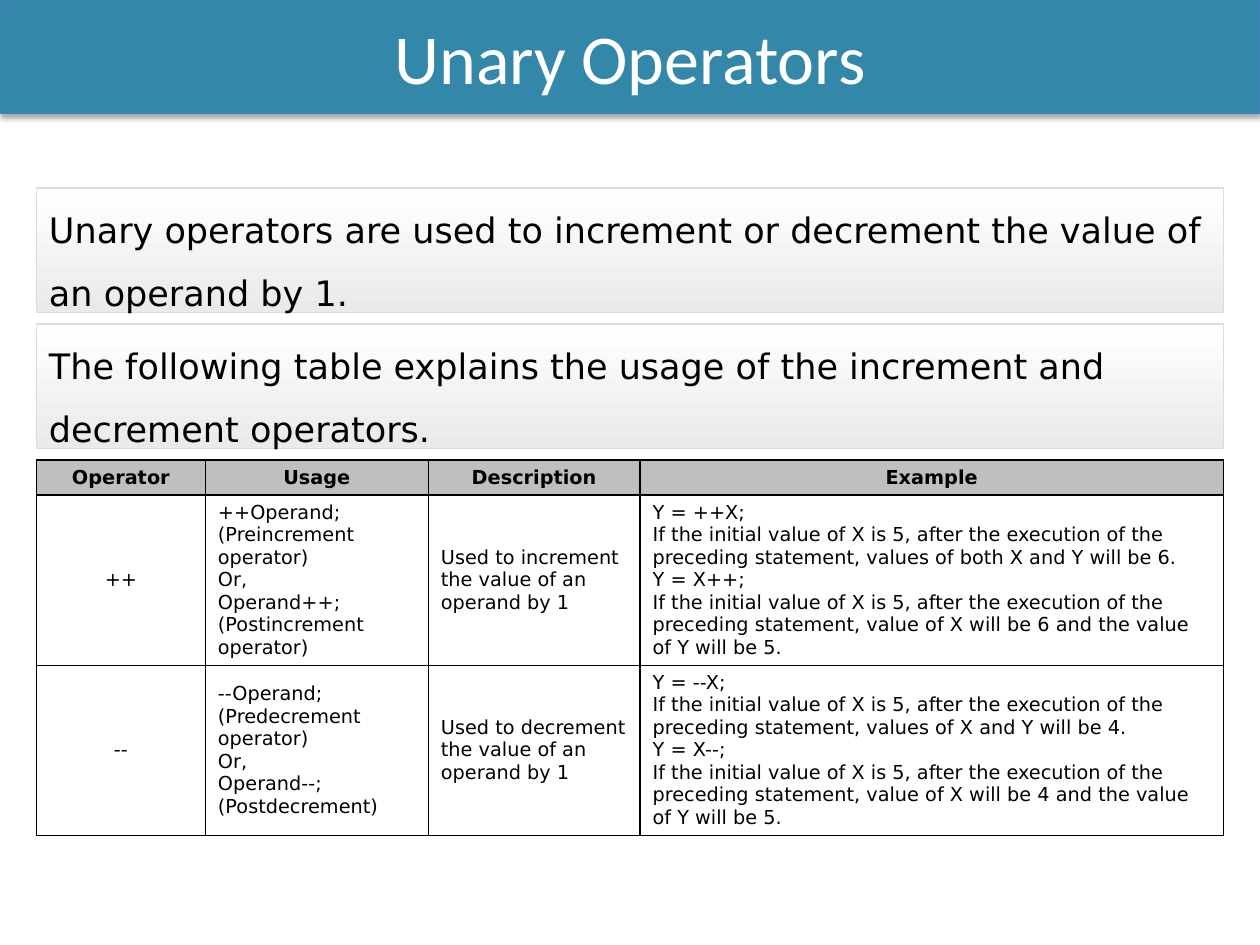
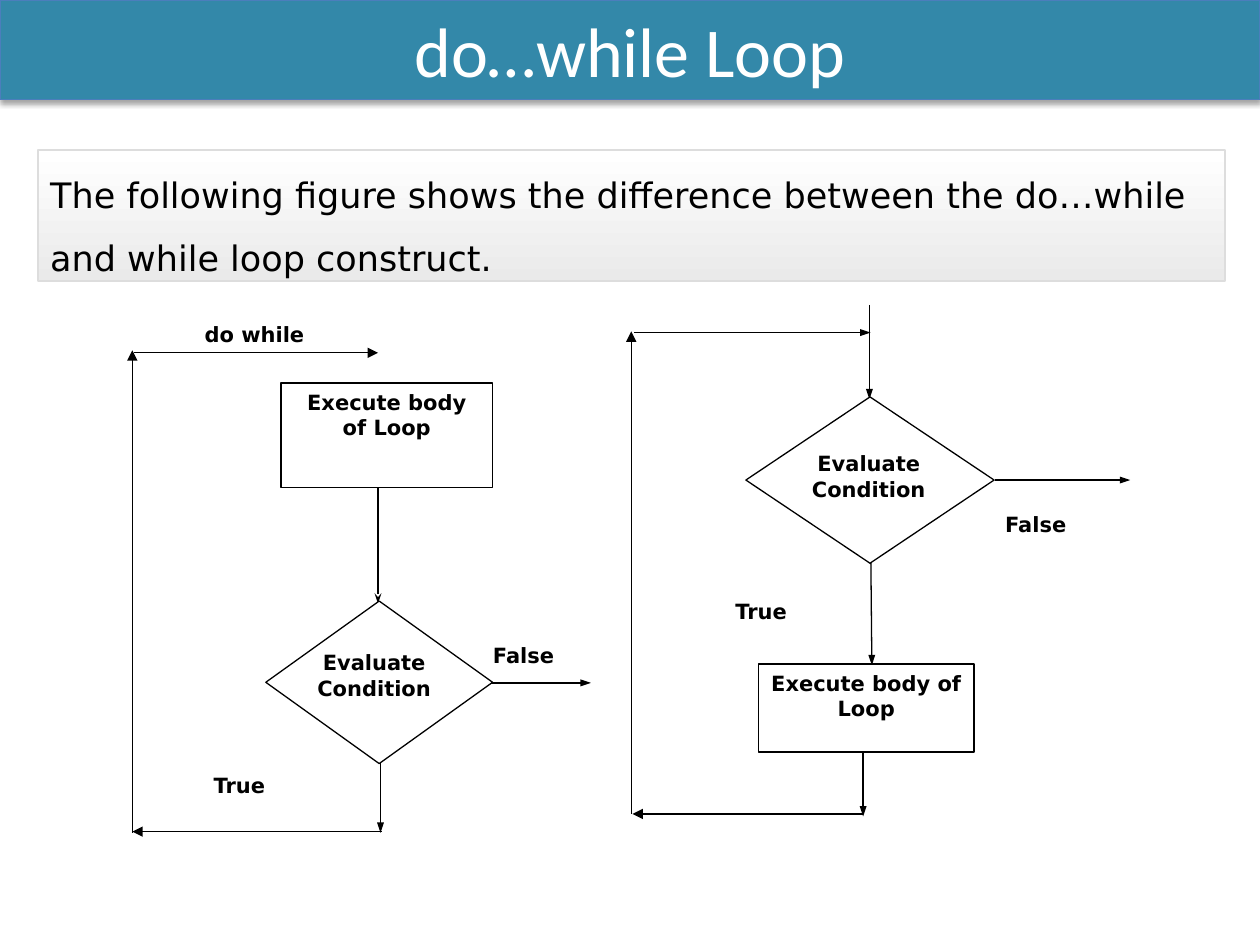
"""Build two slides on unary operators and the do…while loop."""
from dataclasses import dataclass

from lxml import etree
from pptx import Presentation
from pptx.dml.color import RGBColor
from pptx.enum.shapes import MSO_CONNECTOR, MSO_SHAPE
from pptx.enum.text import MSO_ANCHOR, MSO_AUTO_SIZE, PP_ALIGN
from pptx.oxml import parse_xml
from pptx.oxml.ns import nsdecls, qn
from pptx.util import Inches, Pt

LEFT, CENTER = PP_ALIGN.LEFT, PP_ALIGN.CENTER
TOP, MIDDLE = MSO_ANCHOR.TOP, MSO_ANCHOR.MIDDLE
RECTANGLE, DIAMOND = MSO_SHAPE.RECTANGLE, MSO_SHAPE.DIAMOND
STRAIGHT = MSO_CONNECTOR.STRAIGHT
NO_AUTOFIT = MSO_AUTO_SIZE.NONE
TITLE_ONLY = 5


@dataclass(frozen=True)
class Theme:
    """Colours, fonts and sizes shared by the slides."""

    band: str = "3388A9"
    band_edge: str = "4B7EBC"
    note_top: str = "FFFFFF"
    note_bottom: str = "EAEAEA"
    note_edge: str = "DDDDDD"
    header: str = "BFBFBF"
    ink: str = "000000"
    paper: str = "FFFFFF"
    title_font: str = "Calibri"
    text_font: str = "DejaVu Sans"
    title_size: int = 40
    note_size: int = 20
    flow_size: int = 12
    table_size: int = 11
    hairline: float = 0.75
    rule: float = 1


THEME = Theme()

OPERATOR_COLUMNS = [1.34, 1.77, 1.68, 4.63]
OPERATOR_ROWS = [0.28, 1.35, 1.35]
INITIAL = "If the initial value of X is 5, after the execution of the preceding statement, "
OPERATOR_TABLE = [
    ["Operator", "Usage", "Description", "Example"],
    [
        "++",
        "++Operand;\n(Preincrement operator)\nOr,\nOperand++; (Postincrement operator)",
        "Used to increment the value of an operand by 1",
        f"Y = ++X;\n{INITIAL}values of both X and Y will be 6.\n"
        f"Y = X++;\n{INITIAL}value of X will be 6 and the value of Y will be 5.",
    ],
    [
        "--",
        "--Operand;\n(Predecrement operator)\nOr,\nOperand--; (Postdecrement)",
        "Used to decrement the value of an operand by 1",
        f"Y = --X;\n{INITIAL}values of X and Y will be 4.\n"
        f"Y = X--;\n{INITIAL}value of X will be 4 and the value of Y will be 5.",
    ],
]

EXECUTE = "Execute body of Loop"
EVALUATE = "Evaluate\nCondition"
DO_WHILE_FLOW = {
    "labels": [
        ("do while", (1.39, 2.5, 1.26, 0.42)),
        ("False", (3.58, 5.05, 1.15, 0.42)),
        ("True", (1.36, 6.08, 1.08, 0.42)),
    ],
    "steps": [
        ((3, 3.74), (3, 4.79), "stealth"),
        ((3.58, 5.42), (4.69, 5.42), "triangle"),
        ((3.02, 6.05), (3.02, 6.61), "triangle"),
    ],
    "returns": [
        ((3.03, 6.6), (1.05, 6.6)),
        ((1.05, 6.61), (1.05, 2.78)),
        ((1.06, 2.8), (3, 2.8)),
    ],
    "body": (2.23, 3.04, 1.68, 0.83),
    "diamond": (2.11, 4.77, 1.8, 1.29),
    "condition": (2.02, 5.11, 1.9, 0.67),
}
WHILE_FLOW = {
    "labels": [
        ("False", (7.51, 4.01, 1.42, 0.42)),
        ("True", (5.33, 4.7, 1.42, 0.42)),
    ],
    "steps": [
        ((6.9, 2.42), (6.9, 3.17), "triangle"),
        ((7.9, 3.81), (8.97, 3.81), "triangle"),
        ((6.91, 4.27), (6.92, 5.28), "triangle"),
        ((6.85, 5.95), (6.85, 6.48), "triangle"),
        ((5.03, 2.64), (6.91, 2.64), "triangle"),
    ],
    "returns": [
        ((6.85, 6.46), (5.02, 6.46)),
        ((5.01, 6.46), (5.01, 2.63)),
    ],
    "body": (6.02, 5.27, 1.71, 0.7),
    "diamond": (5.92, 3.15, 1.97, 1.32),
    "condition": (5.92, 3.53, 1.95, 0.63),
}


def color(value):
    """Return the colour object of a hex value."""
    return RGBColor.from_string(value)


def inches(values):
    """Turn a row of numbers into lengths."""
    return [Inches(value) for value in values]


def paint(shape, fill, edge=None, width=THEME.hairline):
    """Give a shape a plain fill and an optional outline."""
    shape.fill.solid()
    shape.fill.fore_color.rgb = color(fill)
    if edge:
        shape.line.color.rgb = color(edge)
        shape.line.width = Pt(width)
    else:
        shape.line.fill.background()


def write(frame, text, size, align=LEFT, anchor=TOP, bold=False,
          ink=THEME.ink, font=THEME.text_font, spacing=None):
    """Fill a text frame, one paragraph for each line."""
    frame.text = text
    frame.word_wrap = True
    frame.vertical_anchor = anchor
    for paragraph in frame.paragraphs:
        paragraph.alignment = align
        paragraph.line_spacing = spacing
        paragraph.font.name = font
        paragraph.font.size = Pt(size)
        paragraph.font.bold = bold
        paragraph.font.color.rgb = color(ink)


def add_slide(presentation, title, band_height):
    """Add a slide whose title is a shadowed band across the top."""
    slide = presentation.slides.add_slide(presentation.slide_layouts[TITLE_ONLY])
    band = slide.shapes.title
    band.left, band.top, band.width, band.height = inches((0, 0, 10, band_height))
    paint(band, THEME.band, THEME.band_edge)
    write(band.text_frame, title, THEME.title_size, CENTER, MIDDLE,
          ink=THEME.paper, font=THEME.title_font)
    band.text_frame.auto_size = NO_AUTOFIT
    band.element.spPr.append(parse_xml(
        f'<a:effectLst {nsdecls("a")}><a:outerShdw blurRad="{Pt(3.1)}" '
        f'dist="{Pt(1.8)}" dir="5400000" rotWithShape="0">'
        f'<a:srgbClr val="{THEME.ink}"><a:alpha val="35000"/></a:srgbClr>'
        '</a:outerShdw></a:effectLst>'))
    return slide


def add_note(slide, text, box):
    """Add a statement on a soft vertical gradient."""
    note = slide.shapes.add_shape(RECTANGLE, *inches(box))
    note.shadow.inherit = False
    note.fill.gradient()
    note.fill.gradient_angle = 270
    stops = zip(note.fill.gradient_stops, (THEME.note_top, THEME.note_bottom))
    for position, (stop, shade) in enumerate(stops):
        stop.position = position
        stop.color.rgb = color(shade)
    note.line.color.rgb = color(THEME.note_edge)
    note.line.width = Pt(THEME.rule)
    write(note.text_frame, text, THEME.note_size, anchor=MIDDLE, spacing=1.5)


def style_cell(cell, text, is_header, is_first):
    """Write one table cell with borders and fill."""
    properties = cell._tc.get_or_add_tcPr()
    for side in ("lnL", "lnR", "lnT", "lnB"):
        properties.append(parse_xml(
            f'<a:{side} {nsdecls("a")} w="{Pt(THEME.rule)}"><a:solidFill>'
            f'<a:srgbClr val="{THEME.ink}"/></a:solidFill></a:{side}>'))
    cell.fill.solid()
    cell.fill.fore_color.rgb = color(THEME.header if is_header else THEME.paper)
    write(cell.text_frame, text, THEME.table_size,
          CENTER if is_header or is_first else LEFT, bold=is_header)
    cell.vertical_anchor = TOP if is_header else MIDDLE


def add_operator_table(slide, left, top):
    """Add the table of operators."""
    box = (left, top, sum(OPERATOR_COLUMNS), sum(OPERATOR_ROWS))
    table = slide.shapes.add_table(
        len(OPERATOR_ROWS), len(OPERATOR_COLUMNS), *inches(box)).table
    for column, width in zip(table.columns, OPERATOR_COLUMNS):
        column.width = Inches(width)
    for row, height in zip(table.rows, OPERATOR_ROWS):
        row.height = Inches(height)
    for row_index, texts in enumerate(OPERATOR_TABLE):
        for column_index, text in enumerate(texts):
            style_cell(table.cell(row_index, column_index), text,
                       row_index == 0, column_index == 0)


def write_flow(shape, text):
    """Write bold centred text on a part of a flowchart."""
    frame = shape.text_frame
    write(frame, text, THEME.flow_size, CENTER, bold=True)
    frame.margin_left = frame.margin_right = Inches(0.09)


def add_flow_shape(slide, kind, box, text="", edge=None):
    """Add a white flowchart shape."""
    shape = slide.shapes.add_shape(kind, *inches(box))
    shape.shadow.inherit = False
    paint(shape, THEME.paper, edge)
    if text:
        write_flow(shape, text)


def add_arrow(slide, start, end, head="triangle", head_width="med"):
    """Add a thin straight arrow."""
    arrow = slide.shapes.add_connector(STRAIGHT, *inches(start + end))
    arrow.line.color.rgb = color(THEME.ink)
    arrow.line.width = Pt(THEME.hairline)
    etree.SubElement(arrow.line._get_or_add_ln(), qn("a:tailEnd"),
                     type=head, w=head_width, len="med")
    etree.SubElement(arrow.element.spPr, qn("a:effectLst"))


def add_flowchart(slide, flow):
    """Add the labels, arrows, body and condition of one loop."""
    for text, box in flow["labels"]:
        add_flow_shape(slide, RECTANGLE, box, text)
    for start, end, head in flow["steps"]:
        add_arrow(slide, start, end, head, "sm")
    for start, end in flow["returns"]:
        add_arrow(slide, start, end)
    add_flow_shape(slide, RECTANGLE, flow["body"], EXECUTE, THEME.ink)
    add_flow_shape(slide, DIAMOND, flow["diamond"], edge=THEME.ink)
    write_flow(slide.shapes.add_textbox(*inches(flow["condition"])), EVALUATE)


def main():
    """Build and save the presentation."""
    presentation = Presentation()
    presentation.slide_width, presentation.slide_height = inches((10, 7.5))

    slide = add_slide(presentation, "Unary Operators", 0.9)
    add_note(slide, "Unary operators are used to increment or decrement "
             "the value of an operand by 1.", (0.29, 1.49, 9.42, 0.99))
    add_note(slide, "The following table explains the usage of the increment "
             "and decrement operators.", (0.29, 2.57, 9.42, 0.99))
    add_operator_table(slide, 0.29, 3.65)

    slide = add_slide(presentation, "do…while Loop", 0.79)
    add_note(slide, "The following figure shows the difference between the "
             "do…while and while loop construct.", (0.3, 1.19, 9.42, 1.04))
    for flow in (DO_WHILE_FLOW, WHILE_FLOW):
        add_flowchart(slide, flow)

    presentation.save("out.pptx")


if __name__ == "__main__":
    main()
